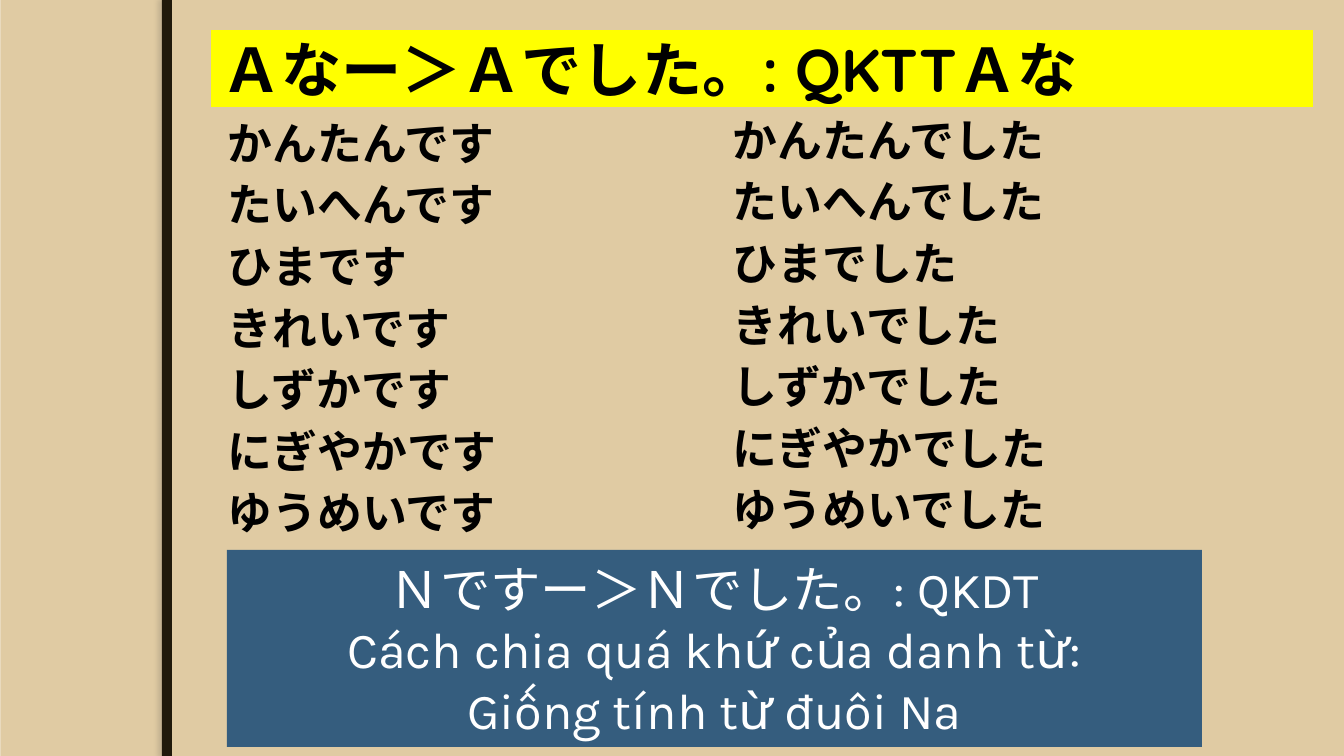
from lxml import etree
from pptx import Presentation
from pptx.dml.color import RGBColor
from pptx.enum.shapes import MSO_SHAPE
from pptx.enum.text import MSO_ANCHOR, MSO_AUTO_SIZE, PP_ALIGN
from pptx.oxml.ns import qn
from pptx.util import Emu, Pt

RECTANGLE = MSO_SHAPE.RECTANGLE
MIDDLE = MSO_ANCHOR.MIDDLE
NO_AUTOFIT = MSO_AUTO_SIZE.NONE
LEFT, CENTER = PP_ALIGN.LEFT, PP_ALIGN.CENTER

SLIDE_WIDTH, SLIDE_HEIGHT = 1344, 756
EMU_PER_PX = 12192000 / SLIDE_WIDTH

CREAM = RGBColor(0xEB, 0xDD, 0xC3)
TAN = RGBColor(0xE0, 0xCB, 0xA3)
DARK_BROWN = RGBColor(0x20, 0x19, 0x0B)
SHADOW_BROWN = RGBColor(0x76, 0x6E, 0x60)
YELLOW = RGBColor(0xFF, 0xFF, 0x00)
BLUE = RGBColor(0x35, 0x5D, 0x7E)
BLACK = RGBColor(0x00, 0x00, 0x00)
WHITE = RGBColor(0xFF, 0xFF, 0xFF)

JAPANESE_FONT = "Noto Sans CJK JP"
HEADING = "Ａなー＞Ａでした。: QKTTＡな"
ADJECTIVES = ["かんたん", "たいへん", "ひま", "きれい", "しずか", "にぎやか", "ゆうめい"]
NOUN_RULE = [
    "Ｎですー＞Ｎでした。: QKDT",
    "Cách chia quá khứ của danh từ:",
    "Giống tính từ đuôi Na",
]


def px(length):
    """Turn pixels into EMU."""
    return Emu(round(length * EMU_PER_PX))


def add_block(page, box, color):
    """Add a plain filled rectangle."""
    block = page.shapes.add_shape(RECTANGLE, *map(px, box))
    block.shadow.inherit = False
    block.fill.solid()
    block.fill.fore_color.rgb = color
    block.line.fill.background()
    return block


def style_paragraph(para, font_name, size, color, bold=False):
    """Set the font of a whole paragraph, with a Japanese companion font."""
    para.font.size = Pt(size)
    para.font.bold = bold
    para.font.color.rgb = color
    para.font.name = font_name
    defaults = para._p.get_or_add_pPr().find(qn("a:defRPr"))
    etree.SubElement(defaults, qn("a:ea"), typeface=JAPANESE_FONT)


def add_backdrop(page):
    """Draw the tan ground and the dark band with its soft shadow."""
    page.background.fill.solid()
    page.background.fill.fore_color.rgb = CREAM
    add_block(page, (1, 0, SLIDE_WIDTH, SLIDE_HEIGHT), TAN)
    band = add_block(page, (162, 0, 10, SLIDE_HEIGHT), DARK_BROWN)
    effects = band._element.spPr.find(qn("a:effectLst"))
    shadow = etree.SubElement(
        effects, qn("a:outerShdw"), blurRad=str(Pt(3)), dist=str(Pt(3)),
        dir="10800000", algn="r", rotWithShape="0")
    tint = etree.SubElement(shadow, qn("a:srgbClr"), val=str(SHADOW_BROWN))
    etree.SubElement(tint, qn("a:alpha"), val="25000")


def place_title(page, box):
    """Move the title to its box and format it as a yellow bar."""
    title = page.shapes.title
    title.left, title.top, title.width, title.height = map(px, box)
    title.fill.solid()
    title.fill.fore_color.rgb = YELLOW
    frame = title.text_frame
    frame.text = HEADING
    frame.auto_size = NO_AUTOFIT
    frame.vertical_anchor = MIDDLE
    para = frame.paragraphs[0]
    para.alignment = LEFT
    style_paragraph(para, "Quicksand", 43, BLACK, bold=True)
    page.shapes._spTree.append(title._element)


def add_word_column(page, box, ending):
    """List every adjective with the given ending."""
    frame = page.shapes.add_textbox(*map(px, box)).text_frame
    frame.word_wrap = True
    frame.text = "\n".join(word + ending for word in ADJECTIVES)
    for index, para in enumerate(frame.paragraphs):
        properties = para._p.get_or_add_pPr()
        properties.set("marL", str(px(40)))
        properties.set("indent", str(px(-31)))
        para.line_spacing = Pt(38)
        if index:
            para.space_before = Pt(6)
        etree.SubElement(properties, qn("a:buNone"))
        style_paragraph(para, JAPANESE_FONT, 32, BLACK, bold=True)


def add_noun_rule(page, box):
    """Add the blue panel with the rule for nouns."""
    frame = add_block(page, box, BLUE).text_frame
    frame.word_wrap = True
    frame.vertical_anchor = MIDDLE
    frame.text = "\n".join(NOUN_RULE)
    for para in frame.paragraphs:
        para.alignment = CENTER
        style_paragraph(para, "Karla", 36, WHITE)


def main():
    """Build the slide and save the deck."""
    deck = Presentation()
    deck.slide_width, deck.slide_height = px(SLIDE_WIDTH), px(SLIDE_HEIGHT)
    page = deck.slides.add_slide(deck.slide_layouts.get_by_name("Title Only"))
    add_backdrop(page)
    place_title(page, (211, 30, 1102, 77))
    add_word_column(page, (209, 111, 466, 452), "です")
    add_word_column(page, (714, 108, 466, 456), "でした")
    add_noun_rule(page, (227, 550, 975, 197))
    deck.save("out.pptx")


if __name__ == "__main__":
    main()
